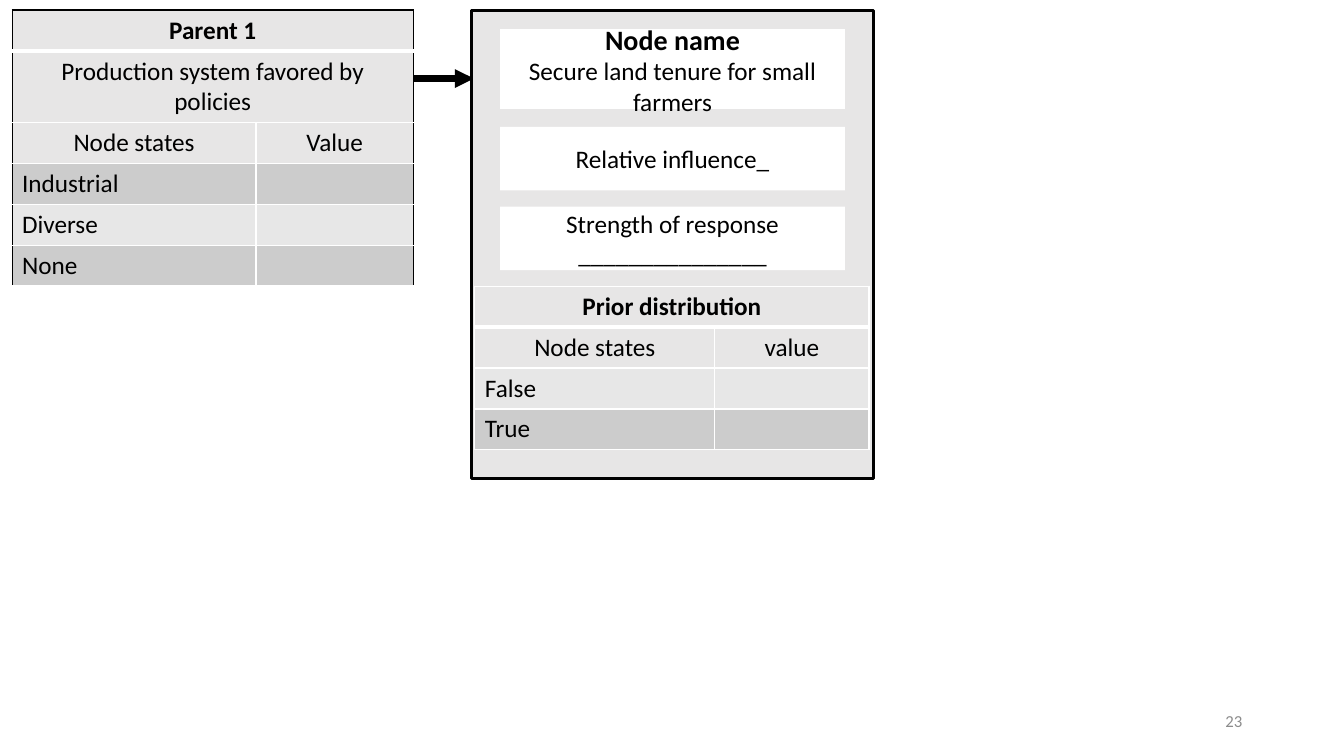
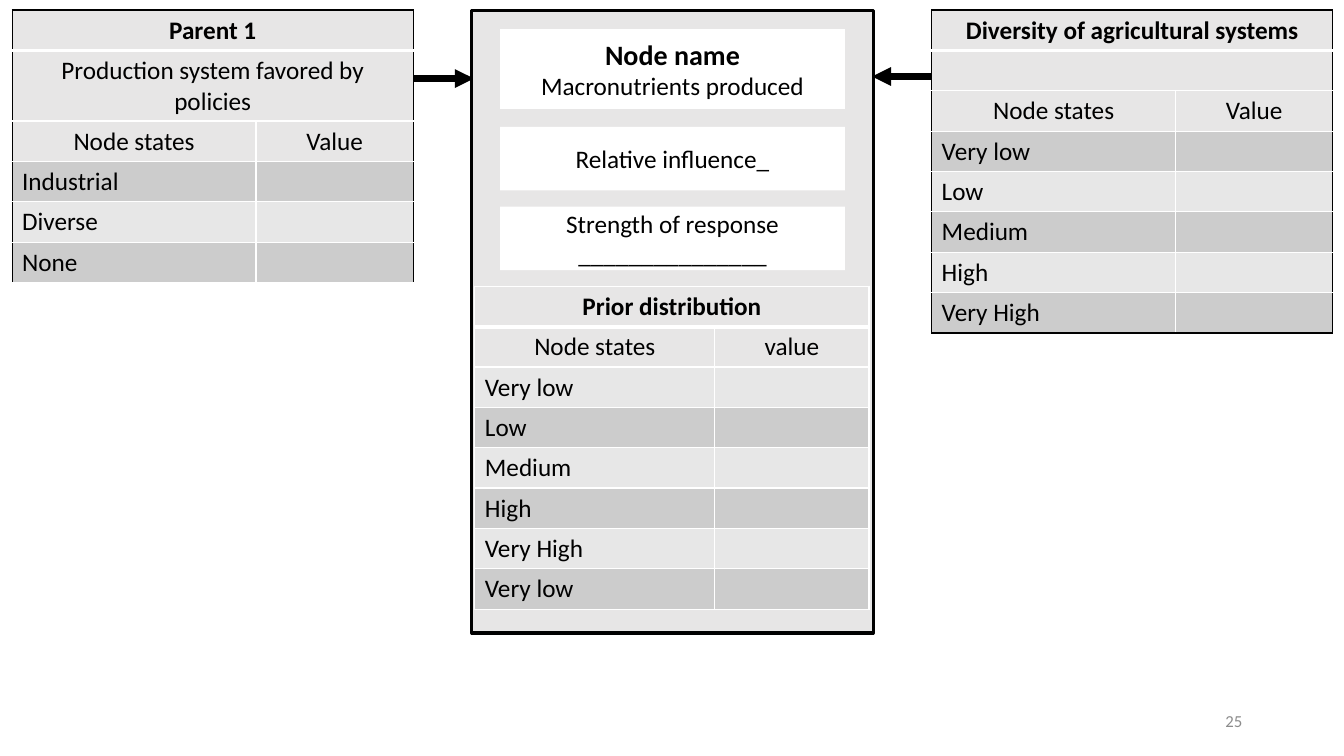
from pptx import Presentation
from pptx.dml.color import RGBColor
from pptx.enum.shapes import MSO_CONNECTOR, MSO_SHAPE
from pptx.enum.text import MSO_ANCHOR, PP_ALIGN
from pptx.oxml import parse_xml
from pptx.oxml.ns import nsdecls
from pptx.util import Inches, Pt

BLACK, WHITE, PALE, GREY = "000000", "FFFFFF", "E7E6E6", "8C8C8C"
BANDS = ["E7E7E7", "CCCCCC"]
FONT = "Calibri"
ROW = 0.4
LEVELS = ["Very low", "Low", "Medium", "High", "Very High"]


def paint(fill, color):
    fill.solid()
    fill.fore_color.rgb = RGBColor.from_string(color)


def write(frame, lines, align=PP_ALIGN.CENTER, color=BLACK):
    """Fill a text frame with one paragraph per (text, size, bold)."""
    frame.word_wrap = True
    for i, (text, size, bold) in enumerate(lines):
        para = frame.add_paragraph() if i else frame.paragraphs[0]
        para.alignment = align
        run = para.add_run()
        run.text = text
        run.font.name, run.font.size, run.font.bold = FONT, Pt(size), bold
        paint(run.font.fill, color)


# Tables: left, top, column widths, side and top colour, bottom colour,
# full-width head rows, value label, states
policy = (0.12, 0.1, (2.42, 1.56), BLACK, WHITE,
          ["Parent 1", "Production system favored by policies"],
          "Value", ["Industrial", "Diverse", "None"])
farms = (9.24, 0.1, (2.42, 1.56), BLACK, BLACK,
         ["Diversity of agricultural systems", ""], "Value", LEVELS)
prior = (4.71, 2.84, (2.38, 1.53), WHITE, WHITE,
         ["Prior distribution"], "value")

# Arrows: from x, from y, to x, to y
right = (3.13, 0.85, 4.7, 0.78)
left = (10.03, 0.78, 8.65, 0.76)

# Slides: number, node name, panel height, arrows, tables
pages = [
    ("23", "Secure land tenure for small farmers", 4.65, [right],
     [policy, (*prior, ["False", "True"])]),
    ("25", "Macronutrients produced", 6.18, [right, left],
     [policy, farms, (*prior, LEVELS + LEVELS[:1])]),
]

prs = Presentation()
prs.slide_width, prs.slide_height = Inches(13.33), Inches(7.5)

for number, node, tall, arrows, tables in pages:
    slide = prs.slides.add_slide(prs.slide_layouts[6])
    shapes = slide.shapes

    # Arrows from the parents to the node
    for ends in arrows:
        arrow = shapes.add_connector(MSO_CONNECTOR.ELBOW, *map(Inches, ends))
        paint(arrow.line.fill, BLACK)
        arrow.line.width = Pt(4.5)
        arrow.line._get_or_add_ln().append(
            parse_xml(f'<a:tailEnd {nsdecls("a")} type="triangle"/>'))
        arrow._element.spPr.append(
            parse_xml(f'<a:effectLst {nsdecls("a")}/>'))

    # Node panel and its white boxes
    boxes = [
        (4.68, 0.1, 3.98, tall, PALE, []),
        (4.96, 1.26, 3.42, 0.63, WHITE, [("Relative influence_", 18, False)]),
        (4.96, 2.05, 3.42, 0.63, WHITE,
         [("Strength of response", 18, False), ("_" * 15, 18, False)]),
        (4.96, 0.29, 3.42, 0.79, WHITE,
         [("Node name", 20, True), (node, 18, False)]),
    ]
    for *place, color, lines in boxes:
        box = shapes.add_shape(MSO_SHAPE.RECTANGLE, *map(Inches, place))
        box.shadow.inherit = False
        paint(box.fill, color)
        if lines:
            box.line.fill.background()
            box.text_frame.vertical_anchor = MSO_ANCHOR.MIDDLE
            write(box.text_frame, lines)
        else:
            paint(box.line.fill, BLACK)
            box.line.width = Pt(2.25)

    # State tables
    for x, y, widths, edge, base, heads, label, states in tables:
        rows = [(head, "") for head in heads]
        rows += [("Node states", label)] + [(state, "") for state in states]
        top = len(heads)
        last = len(rows) - 1
        table = shapes.add_table(
            len(rows), 2, Inches(x), Inches(y),
            Inches(sum(widths)), Inches(ROW * len(rows))).table
        table.first_row = table.horz_banding = False
        for col, width in zip(table.columns, widths):
            col.width = Inches(width)
        for r, texts in enumerate(rows):
            wide = r < top
            if wide:
                table.cell(r, 0).merge(table.cell(r, 1))
            for c, text in enumerate(texts):
                cell = table.cell(r, c)
                paint(cell.fill, PALE if r <= top else BANDS[r % 2])
                if text:
                    write(cell.text_frame, [(text, 18, r == 0)],
                          PP_ALIGN.CENTER if r <= top else PP_ALIGN.LEFT)
                sides = [
                    ("L", edge if c == 0 else WHITE, 1),
                    ("R", edge if c == 1 or wide else WHITE, 1),
                    ("T", edge if r == 0 else WHITE, 3 if r == 1 else 1),
                    ("B", base if r == last else WHITE, 3 if r == 0 else 1),
                ]
                props = cell._tc.get_or_add_tcPr()
                for i, (side, color, size) in enumerate(sides):
                    props.insert(i, parse_xml(
                        f'<a:ln{side} {nsdecls("a")} w="{Pt(size)}">'
                        f'<a:solidFill><a:srgbClr val="{color}"/>'
                        f'</a:solidFill></a:ln{side}>'))

    # Slide number
    foot = shapes.add_textbox(*map(Inches, (9.42, 6.95, 3, 0.4))).text_frame
    foot.vertical_anchor = MSO_ANCHOR.MIDDLE
    write(foot, [(number, 12, False)], PP_ALIGN.RIGHT, GREY)

prs.save("out.pptx")
